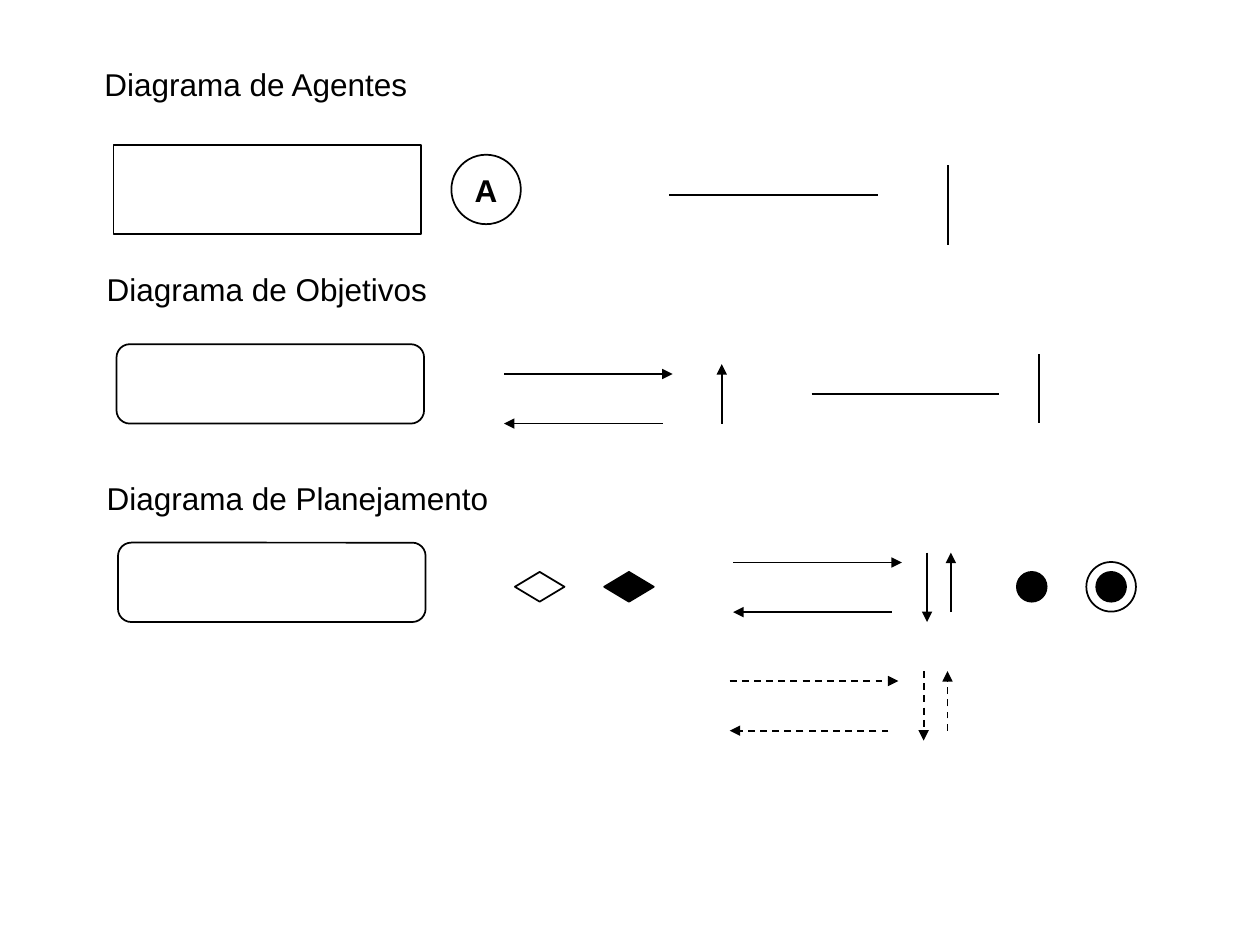
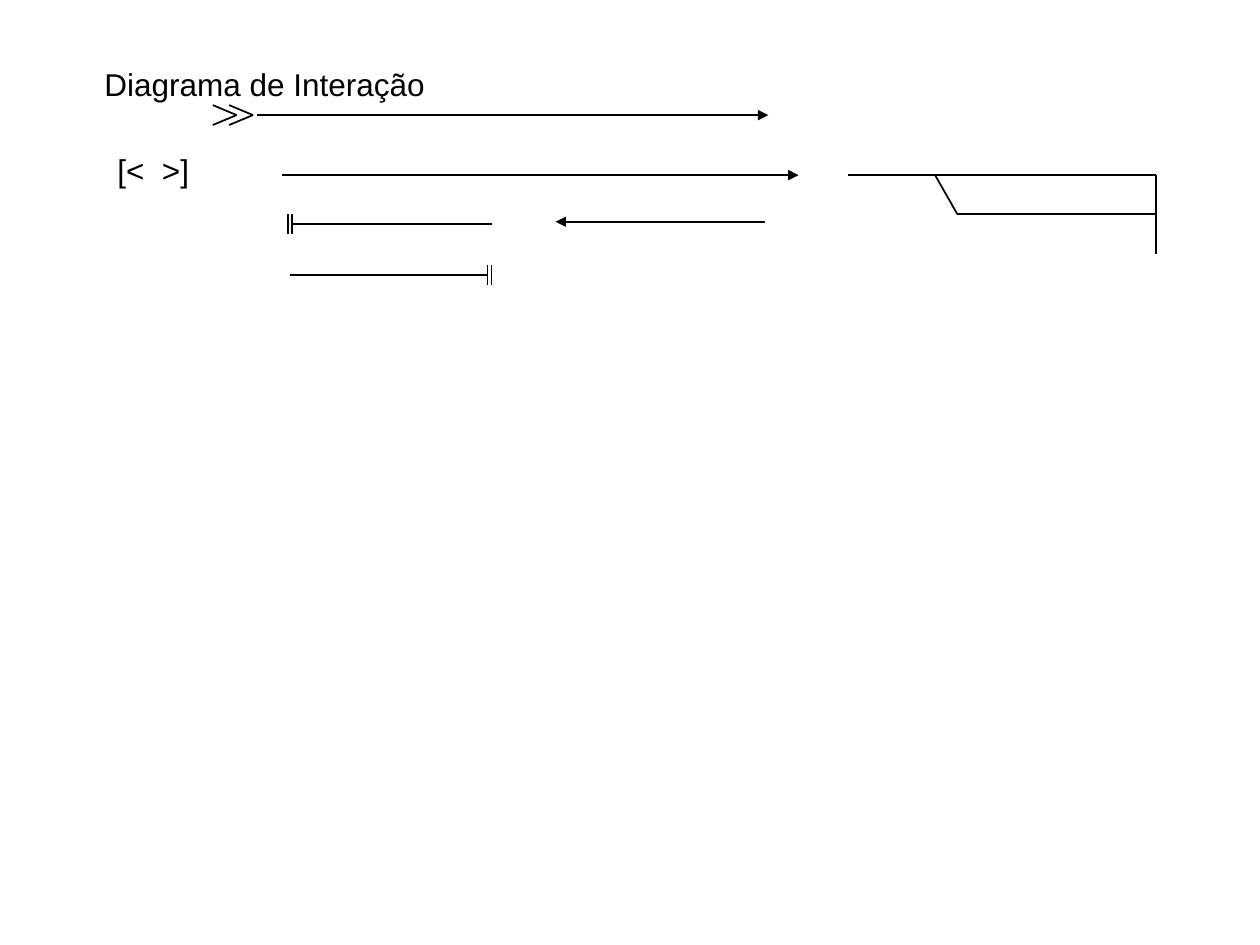
"""Legend of the symbols used in agent, objective, planning and interaction diagrams."""
from dataclasses import dataclass

from lxml import etree
from pptx import Presentation
from pptx.dml.color import RGBColor
from pptx.enum.dml import MSO_LINE
from pptx.enum.shapes import MSO_CONNECTOR, MSO_SHAPE
from pptx.enum.text import MSO_ANCHOR, PP_ALIGN
from pptx.oxml.ns import qn
from pptx.util import Cm, Pt

STRAIGHT = MSO_CONNECTOR.STRAIGHT
DASH = MSO_LINE.DASH
RECT, ROUND = MSO_SHAPE.RECTANGLE, MSO_SHAPE.ROUNDED_RECTANGLE
OVAL, DIAMOND = MSO_SHAPE.OVAL, MSO_SHAPE.DIAMOND
LEFT, CENTER = PP_ALIGN.LEFT, PP_ALIGN.CENTER
TOP, MIDDLE = MSO_ANCHOR.TOP, MSO_ANCHOR.MIDDLE


@dataclass(frozen=True)
class Theme:
    ink: RGBColor = RGBColor(0, 0, 0)
    font: str = "Arial"
    size: int = 18
    line: float = 1
    thin: float = 0.75


THEME = Theme()
TITLE_BOX = (1.85, 1.19, 8, 1.02)

ARROWS = {
    "right": (0, 0.2, 3.4, 0.2),
    "left": (3.2, 1.2, 0, 1.2),
    "down": (3.91, 0, 3.91, 1.4),
    "up": (4.39, 1.2, 4.39, 0),
}
CHEVRON = [(0, -0.2, 0.48, 0), (0.48, 0, 0, 0.2)]
DOUBLE_BAR = [(0, -0.2, 0, 0.2), (0.08, -0.2, 0.08, 0.2)]

SYMBOLS = {
    "title": "Diagrama de Agentes",
    "labels": [
        ("Diagrama de Objetivos", (1.9, 5.32, 6.96, 1.02), LEFT),
        ("Diagrama de Planejamento", (1.9, 9.53, 8.2, 1.02), LEFT),
    ],
    "shapes": [
        (RECT, (2.29, 2.92, 6.2, 1.8), False, ""),
        (OVAL, (9.1, 3.12, 1.4, 1.4), False, "A"),
        (ROUND, (2.35, 6.94, 6.2, 1.6), False, ""),
        (ROUND, (2.38, 10.94, 6.2, 1.6), False, ""),
        (DIAMOND, (10.38, 11.53, 1, 0.6), False, ""),
        (DIAMOND, (12.18, 11.53, 1, 0.6), True, ""),
        (OVAL, (20.5, 11.53, 0.6, 0.6), True, ""),
        (OVAL, (22.1, 11.53, 0.6, 0.6), True, ""),
        (OVAL, (21.9, 11.33, 1, 1), False, ""),
    ],
    "thin_lines": [(13.49, 3.93, 17.7, 3.93)],
    "lines": [
        (19.11, 3.33, 19.11, 4.93),
        (16.36, 7.94, 20.14, 7.94),
        (20.95, 7.14, 20.95, 8.53),
    ],
    "arrow_sets": [
        ((10.16, 7.34), ("right", "left", "up"), None),
        ((14.78, 11.14), ("right", "left", "down", "up"), None),
        ((14.71, 13.53), ("right", "left", "down", "up"), DASH),
    ],
}

INTERACTION = {
    "title": "Diagrama de Interação",
    "labels": [("[<  >]", (2.11, 2.92, 1.96, 1.02), CENTER)],
    "lines": [
        (5.89, 4.52, 9.91, 4.52),
        (5.84, 5.55, 9.83, 5.55),
        (17.09, 3.53, 23.3, 3.53),
        (23.3, 3.53, 23.3, 5.13),
        (19.3, 4.32, 23.3, 4.32),
        (19.3, 4.32, 18.85, 3.53),
    ],
    "arrows": [
        (5.18, 2.32, 15.49, 2.32),
        (5.69, 3.53, 16.1, 3.53),
        (15.42, 4.47, 11.2, 4.47),
    ],
    "marks": [
        (CHEVRON, (4.29, 2.32)),
        (CHEVRON, (4.62, 2.32)),
        (DOUBLE_BAR, (5.81, 4.52)),
        (DOUBLE_BAR, (9.83, 5.55)),
    ],
}


def shift(points, origin):
    x, y = origin
    x1, y1, x2, y2 = points
    return x + x1, y + y1, x + x2, y + y2


def write(sp, text, align=LEFT, anchor=TOP, bold=False):
    tf = sp.text_frame
    tf.text = text
    tf.word_wrap = False
    tf.vertical_anchor = anchor
    p = tf.paragraphs[0]
    p.alignment = align
    font = p.runs[0].font
    font.name, font.size, font.bold = THEME.font, Pt(THEME.size), bold
    font.color.rgb = THEME.ink


def add_title(s, text):
    sp = s.shapes.title
    sp.left, sp.top, sp.width, sp.height = map(Cm, TITLE_BOX)
    write(sp, text)


def add_label(s, text, box, align):
    write(s.shapes.add_textbox(*map(Cm, box)), text, align)


def add_symbol(s, kind, box, filled, text):
    sp = s.shapes.add_shape(kind, *map(Cm, box))
    sp.shadow.inherit = False
    sp.line.color.rgb = THEME.ink
    sp.line.width = Pt(THEME.line)
    if filled:
        sp.fill.solid()
        sp.fill.fore_color.rgb = THEME.ink
    else:
        sp.fill.background()
    if text:
        write(sp, text, CENTER, MIDDLE, True)


def add_line(s, points, arrow=False, dash=None, width=THEME.line):
    sp = s.shapes.add_connector(STRAIGHT, *map(Cm, points))
    sp.line.color.rgb = THEME.ink
    sp.line.width = Pt(width)
    if dash:
        sp.line.dash_style = dash
    props = sp.element.spPr
    if arrow:
        etree.SubElement(props.find(qn("a:ln")), qn("a:tailEnd"), type="triangle")
    etree.SubElement(props, qn("a:effectLst"))


def add_slide(prs, content):
    s = prs.slides.add_slide(prs.slide_layouts[5])
    add_title(s, content["title"])
    for label in content["labels"]:
        add_label(s, *label)
    for symbol in content.get("shapes", []):
        add_symbol(s, *symbol)
    for points in content.get("thin_lines", []):
        add_line(s, points, width=THEME.thin)
    for points in content["lines"]:
        add_line(s, points)
    for points in content.get("arrows", []):
        add_line(s, points, arrow=True)
    for origin, names, dash in content.get("arrow_sets", []):
        for name in names:
            add_line(s, shift(ARROWS[name], origin), True, dash)
    for mark, origin in content.get("marks", []):
        for points in mark:
            add_line(s, shift(points, origin))


def main():
    prs = Presentation()
    prs.slide_width, prs.slide_height = Cm(25.4), Cm(19.05)
    for content in (SYMBOLS, INTERACTION):
        add_slide(prs, content)
    prs.save("out.pptx")


if __name__ == "__main__":
    main()
